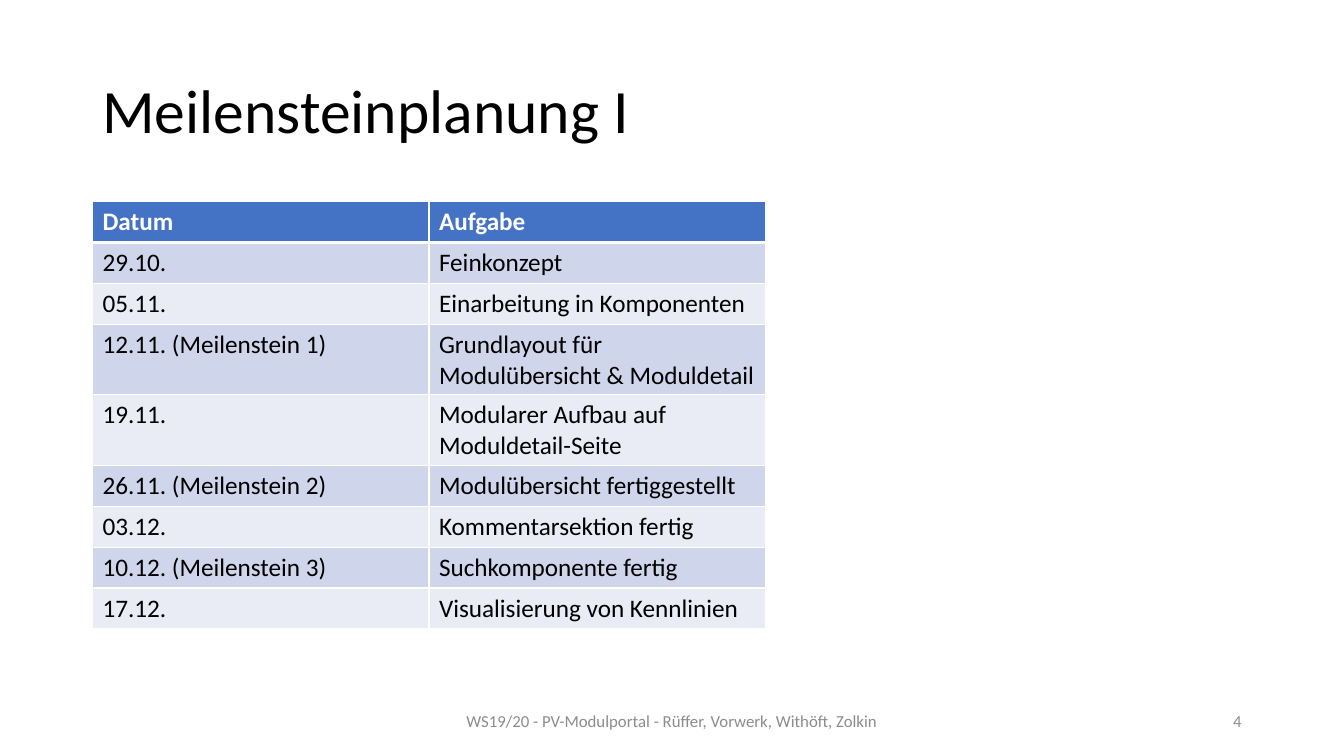
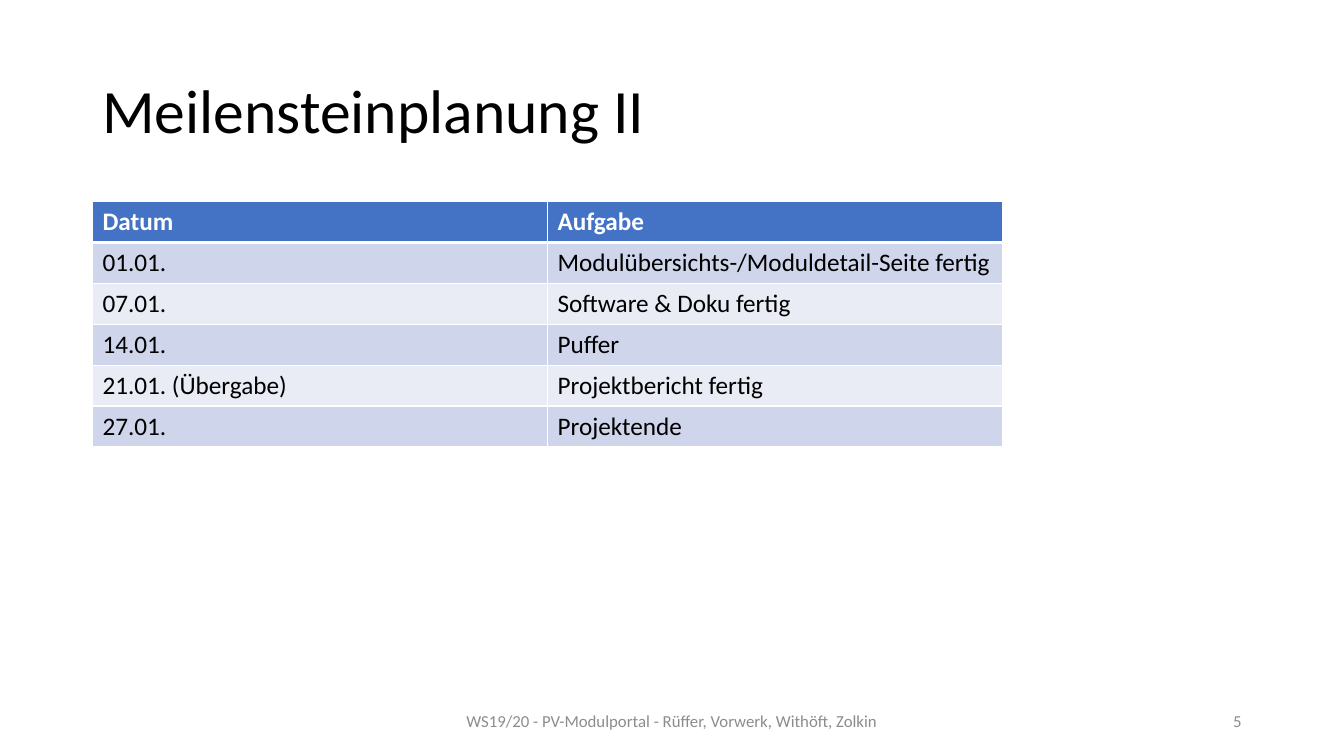
from lxml.etree import SubElement
from pptx import Presentation
from pptx.dml.color import RGBColor
from pptx.enum.text import MSO_ANCHOR, PP_ALIGN
from pptx.oxml.ns import qn
from pptx.util import Cm, Pt

COLORS = {
    "title": "000000",
    "header": "4472C4",
    "header_text": "FFFFFF",
    "body_text": "000000",
    "odd_row": "CFD5EA",
    "even_row": "E9EBF5",
    "border": "FFFFFF",
    "footer": "8C8C8C",
}
FORMATS = {
    "title": {"size": Pt(44), "name": "Calibri", "bold": False},
    "footer": {"size": Pt(12), "name": "Calibri", "bold": False},
    "header_text": {"size": Pt(18), "name": "Calibri", "bold": True},
    "body_text": {"size": Pt(18), "name": "Calibri", "bold": False},
}
FOOTER = "WS19/20 - PV-Modulportal - Rüffer, Vorwerk, Withöft, Zolkin"
HEADER = ("Datum", "Aufgabe")
LEFT, ROW_HEIGHT = Cm(2.33), Cm(1.03)

# Slide number, title, column width and table rows
PAGES = [
    (4, "Meilensteinplanung I", Cm(8.48), [
        ("29.10.", "Feinkonzept"),
        ("05.11.", "Einarbeitung in Komponenten"),
        ("12.11. (Meilenstein 1)", "Grundlayout für Modulübersicht & Moduldetail"),
        ("19.11.", "Modularer Aufbau auf Moduldetail-Seite"),
        ("26.11. (Meilenstein 2)", "Modulübersicht fertiggestellt"),
        ("03.12.", "Kommentarsektion fertig"),
        ("10.12. (Meilenstein 3)", "Suchkomponente fertig"),
        ("17.12.", "Visualisierung von Kennlinien"),
    ]),
    (5, "Meilensteinplanung II", Cm(11.47), [
        ("01.01.", "Modulübersichts-/Moduldetail-Seite fertig"),
        ("07.01.", "Software & Doku fertig"),
        ("14.01.", "Puffer"),
        ("21.01. (Übergabe)", "Projektbericht fertig"),
        ("27.01.", "Projektende"),
    ]),
]


def write(frame, text, style, align=PP_ALIGN.LEFT, spacing=1.0):
    para = frame.paragraphs[0]
    para.alignment = align
    para.line_spacing = spacing
    span = para.add_run()
    span.text = text
    for attribute, value in FORMATS[style].items():
        setattr(span.font, attribute, value)
    span.font.color.rgb = RGBColor.from_string(COLORS[style])


def set_borders(cell, top, bottom):
    properties = cell._tc.get_or_add_tcPr()
    for side, points in (("L", 1), ("R", 1), ("T", top), ("B", bottom)):
        line = SubElement(properties, qn(f"a:ln{side}"), w=str(Pt(points)))
        fill = SubElement(line, qn("a:solidFill"))
        SubElement(fill, qn("a:srgbClr"), val=COLORS["border"])


deck = Presentation()
deck.slide_width, deck.slide_height = Cm(33.87), Cm(19.05)

for number, title, column_width, tasks in PAGES:
    page = deck.slides.add_slide(deck.slide_layouts[6])

    # Title, footer and slide number
    for text, style, left, top, width, height, align, spacing in (
        (title, "title", LEFT, Cm(1.01), Cm(29.21), Cm(3.68), PP_ALIGN.LEFT, 0.9),
        (FOOTER, "footer", Cm(11.22), Cm(17.66), Cm(11.43), Cm(1.01), PP_ALIGN.CENTER, 1.0),
        (str(number), "footer", Cm(23.92), Cm(17.66), Cm(7.62), Cm(1.01), PP_ALIGN.RIGHT, 1.0),
    ):
        box = page.shapes.add_textbox(left, top, width, height)
        box.text_frame.word_wrap = True
        box.text_frame.vertical_anchor = MSO_ANCHOR.MIDDLE
        write(box.text_frame, text, style, align, spacing)

    # Milestone table
    rows = [HEADER, *tasks]
    table = page.shapes.add_table(
        len(rows), len(HEADER), LEFT, Cm(5.08),
        column_width * len(HEADER), ROW_HEIGHT * len(rows),
    ).table
    for column in table.columns:
        column.width = column_width
    for row_index, row in enumerate(rows):
        table.rows[row_index].height = ROW_HEIGHT
        if row_index == 0:
            fill, style = "header", "header_text"
        else:
            fill, style = ("odd_row" if row_index % 2 else "even_row"), "body_text"
        for column_index, text in enumerate(row):
            cell = table.cell(row_index, column_index)
            # A thick line separates the header from the body
            set_borders(cell, 3 if row_index == 1 else 1, 3 if row_index == 0 else 1)
            cell.fill.solid()
            cell.fill.fore_color.rgb = RGBColor.from_string(COLORS[fill])
            write(cell.text_frame, text, style)

deck.save("out.pptx")
